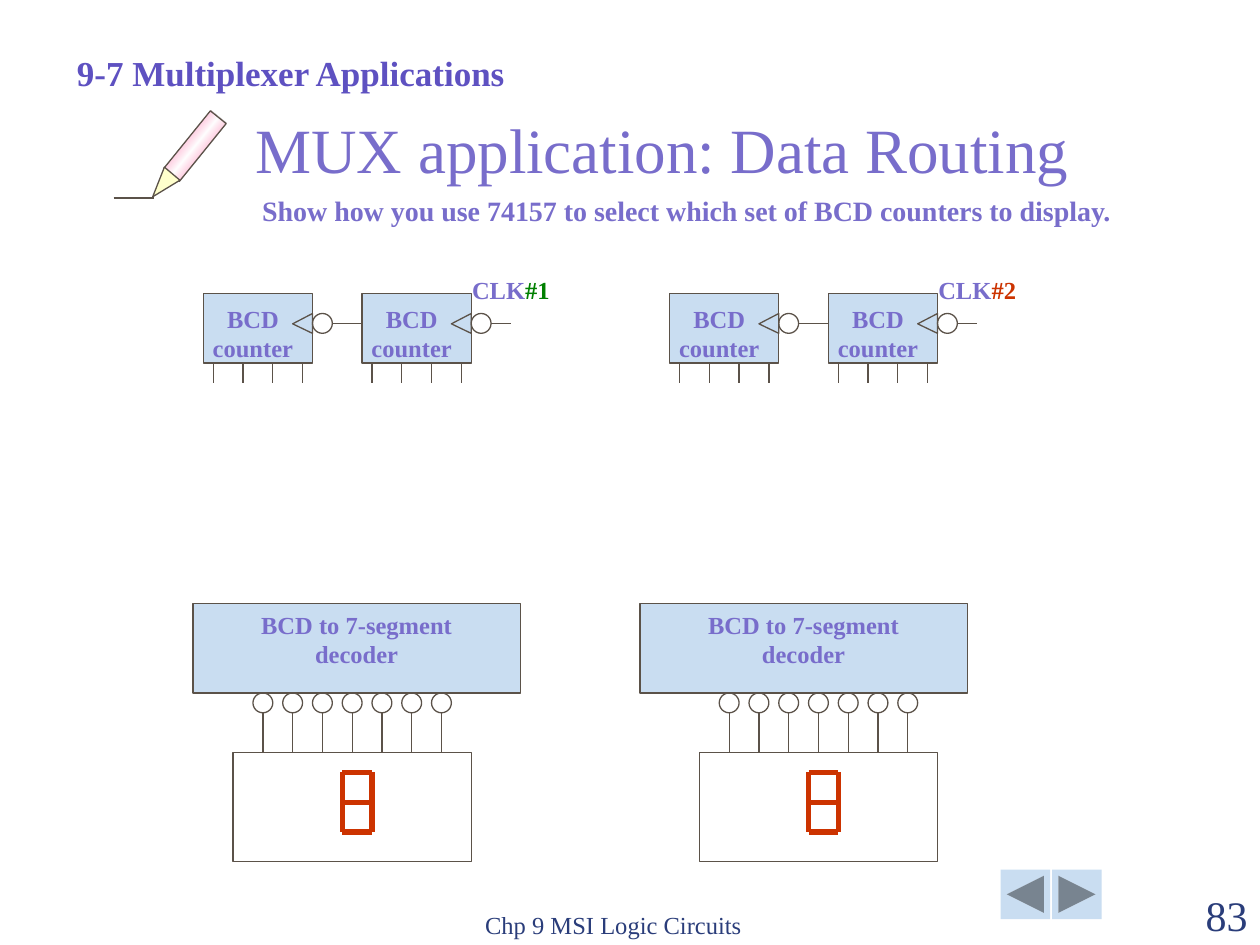
import copy

import lxml.etree
import pptx
import pptx.dml.color
import pptx.enum.shapes
import pptx.enum.text
import pptx.oxml.ns
import pptx.util

Cm = pptx.util.Cm
Pt = pptx.util.Pt
qn = pptx.oxml.ns.qn
RGB = pptx.dml.color.RGBColor.from_string
KIND = pptx.enum.shapes.MSO_SHAPE
ALIGN = pptx.enum.text.PP_ALIGN
ANCHOR = pptx.enum.text.MSO_ANCHOR


class Theme:
    font = "Times New Roman"
    heading, body, footer = RGB("5E51C1"), RGB("786DCB"), RGB("2A3D7A")
    outline, block = RGB("5B5249"), RGB("C9DDF1")
    first, second = RGB("008000"), RGB("CC3300")
    segment = RGB("CC3300")
    pen_edge, pen_middle, pen_tip = RGB("FF0066"), RGB("FFFFFF"), RGB("FFFFCC")
    title_size, number_size, heading_size = Pt(36), Pt(24), Pt(20)
    question_size, label_size = Pt(16), Pt(14)
    thin, thick = Pt(0.75), Pt(3)


deck = pptx.Presentation()
deck.slide_width, deck.slide_height = Cm(25.4), Cm(19.05)
slide = deck.slides.add_slide(deck.slide_layouts[6])


def draw(kind, x, y, width, height, fill=None, outlined=True):
    shape = slide.shapes.add_shape(kind, Cm(x), Cm(y), Cm(width), Cm(height))
    shape.shadow.inherit = False
    if fill is None:
        shape.fill.background()
    else:
        shape.fill.solid()
        shape.fill.fore_color.rgb = fill
    if outlined:
        shape.line.color.rgb = Theme.outline
        shape.line.width = Theme.thin
    else:
        shape.line.fill.background()
    return shape


def wire(x1, y1, x2, y2, color=Theme.outline, width=Theme.thin):
    line = slide.shapes.add_connector(
        pptx.enum.shapes.MSO_CONNECTOR.STRAIGHT, Cm(x1), Cm(y1), Cm(x2), Cm(y2))
    line.line.color.rgb = color
    line.line.width = width
    lxml.etree.SubElement(line.element.spPr, qn("a:effectLst"))
    return line


for kind, x in ((KIND.ACTION_BUTTON_BACK_OR_PREVIOUS, 20.17),
                (KIND.ACTION_BUTTON_FORWARD_OR_NEXT, 21.21)):
    draw(kind, x, 17.53, 1, 1, Theme.block, outlined=False)

pen_body = draw(KIND.RECTANGLE, 3.18, 2.74, 1.5, 0.41)
pen_body.rotation = 309
pen_body.fill.gradient()
pen_body.fill.gradient_angle = 90
edge, middle = pen_body.fill.gradient_stops
edge.color.rgb, edge.position = Theme.pen_edge, 0
middle.color.rgb, middle.position = Theme.pen_middle, 0.5
stops = pen_body.element.spPr.find(".//" + qn("a:gsLst"))
lxml.etree.SubElement(stops[0][0], qn("a:alpha")).set("val", "20000")
far_edge = copy.deepcopy(stops[0])
far_edge.set("pos", "100000")
stops.append(far_edge)

pen_tip = draw(KIND.ISOSCELES_TRIANGLE, 3.07, 3.43, 0.41, 0.61, Theme.pen_tip)
pen_tip.rotation = 40.1
pen_tip.element.spPr.xfrm.set("flipV", "1")
wire(2.29, 3.99, 3.1, 3.99)

center, left, right = ALIGN.CENTER, ALIGN.LEFT, ALIGN.RIGHT
top, bottom = ANCHOR.TOP, ANCHOR.BOTTOM
texts = [
    ((9.53, 17.8, 8.05, 1.27), [("Chp 9 MSI Logic Circuits", Theme.footer)],
     Theme.label_size, False, left, bottom, True),
    ((22.86, 17.8, 2.54, 1.27), [("83", Theme.footer)],
     Theme.number_size, False, right, bottom, True),
    ((4.9, 2.51, 19.2, 1.32), [("MUX application: Data Routing", Theme.body)],
     Theme.title_size, False, left, bottom, True),
    ((4.14, 3.78, 19.4, 0.94),
     [("Show how you use 74157 to select which set of BCD counters to display.",
       Theme.body)],
     Theme.question_size, True, center, top, True),
    ((1.3, 0.92, 9.2, 1.1), [("9-7 Multiplexer Applications", Theme.heading)],
     Theme.heading_size, True, left, top, True),
]

pitch, bubble = 0.6, 0.4
counter_y, decoder_y, display_y = 5.92, 12.17, 15.17
bubble_y = decoder_y + 1.8

for channel, (clock, clock_color) in enumerate((("#1", Theme.first), ("#2", Theme.second))):
    shift = 9.4 * channel

    for counter_x, wire_length in ((4.1 + shift, 0.6), (7.3 + shift, 0.4)):
        draw(KIND.RECTANGLE, counter_x, counter_y, 2.2, 1.4, Theme.block)
        draw(KIND.OVAL, counter_x + 2.2, counter_y + 0.4, bubble, bubble)
        clock_input = draw(KIND.ISOSCELES_TRIANGLE, counter_x + 1.8, counter_y + 0.4,
                           bubble, bubble)
        clock_input.rotation = 270
        clock_input.adjustments[0] = 0.48
        wire(counter_x + 2.6, counter_y + 0.6,
             counter_x + 2.6 + wire_length, counter_y + 0.6)
        for bit in range(4):
            pin_x = counter_x + 0.2 + pitch * bit
            wire(pin_x, counter_y + 1.4, pin_x, counter_y + 1.8)
        texts.append(((counter_x, counter_y + 0.2, 2, 1.2),
                      [("BCD counter", Theme.body)],
                      Theme.label_size, True, center, top, False))
    texts.append(((9.5 + shift, 5.54, 1.6, 0.58),
                  [("CLK", Theme.body), (clock, clock_color)],
                  Theme.label_size, True, center, top, False))

    decoder_x = 3.89 + 9.01 * channel
    draw(KIND.RECTANGLE, decoder_x, decoder_y, 6.6, 1.8, Theme.block)
    texts.append(((decoder_x + 0.4, decoder_y, 5.8, 1.45),
                  [("BCD to 7-segment decoder", Theme.body)],
                  Theme.label_size, True, center, top, True))

    digit_x, digit_y = 6.9 + shift, display_y + 0.4
    for row in range(3):
        y = digit_y + pitch * row
        wire(digit_x, y, digit_x + pitch, y, Theme.segment, Theme.thick)
    for column in range(2):
        x = digit_x + pitch * column
        for row in range(2):
            y = digit_y + pitch * row
            wire(x, y, x, y + pitch, Theme.segment, Theme.thick)

    display = draw(KIND.RECTANGLE, 4.7 + shift, display_y, 4.8, 2.2)
    for output in range(7):
        output_x = 5.3 + shift + pitch * output
        draw(KIND.OVAL, output_x - bubble / 2, bubble_y, bubble, bubble)
        output_wire = wire(output_x, bubble_y + bubble, output_x, display_y)
        if output == 3:
            output_wire.end_connect(display, 0)

for (x, y, width, height), parts, size, bold, align, anchor, padded in texts:
    frame = slide.shapes.add_textbox(Cm(x), Cm(y), Cm(width), Cm(height)).text_frame
    frame.word_wrap = True
    frame.vertical_anchor = anchor
    if not padded:
        frame.margin_left = frame.margin_right = 0
        frame.margin_top = frame.margin_bottom = 0
    paragraph = frame.paragraphs[0]
    paragraph.alignment = align
    if size == Theme.title_size:
        paragraph.line_spacing = 0.7
    paragraph.font.name = Theme.font
    paragraph.font.size = size
    paragraph.font.bold = bold
    if len(parts) == 1:
        paragraph.font.color.rgb = parts[0][1]
    for words, color in parts:
        run = paragraph.add_run()
        run.text = words
        if len(parts) > 1:
            run.font.color.rgb = color

deck.save("out.pptx")
